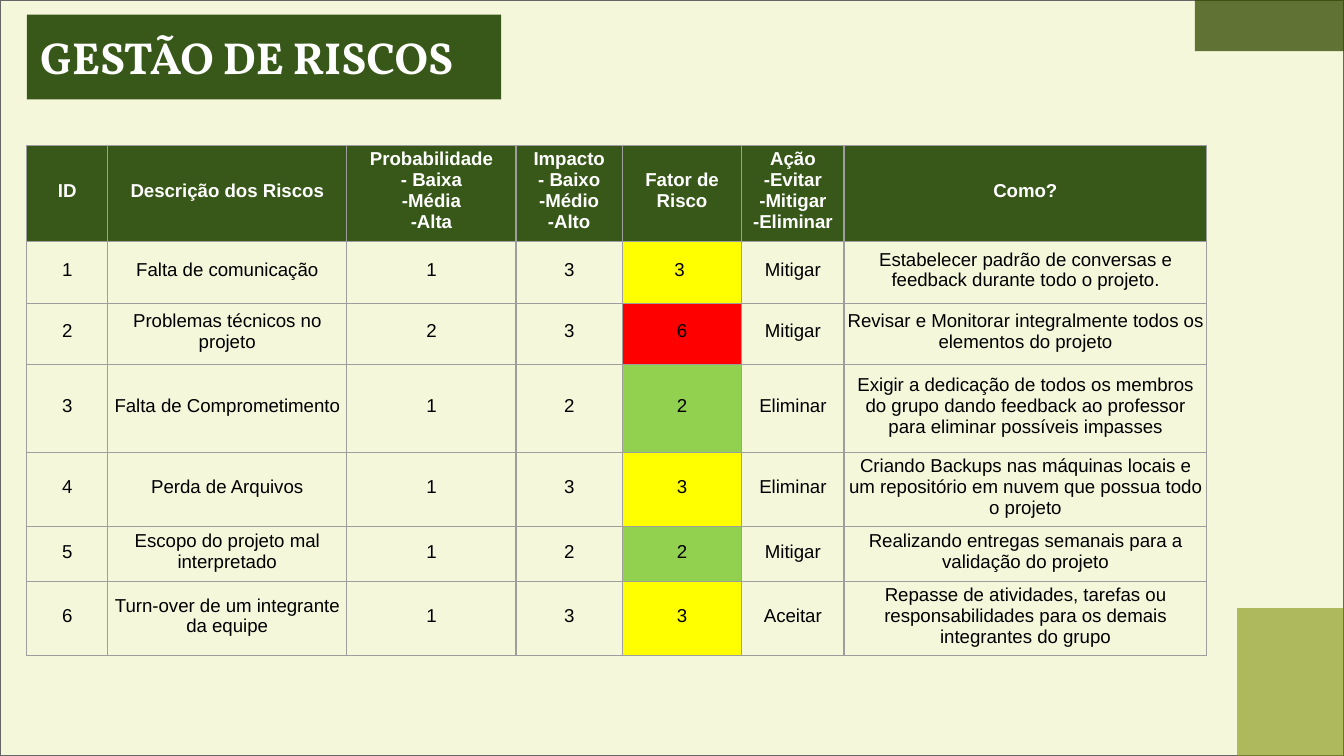
from copy import deepcopy

from pptx import Presentation
from pptx.dml.color import RGBColor as RGB
from pptx.enum.shapes import MSO_SHAPE as Shape
from pptx.enum.text import MSO_ANCHOR as Anchor, PP_ALIGN as Align
from pptx.oxml import parse_xml
from pptx.oxml.ns import nsdecls, qn
from pptx.util import Inches, Pt

HEX = {
    "cream": "F4F7DA", "frame": "666666", "olive": "324A00", "lime": "7C8C03",
    "green": "385819", "grid": "9E9E9E", "white": "FFFFFF", "black": "000000",
    "low": "92D050", "mid": "FFFF00", "high": "FF0000",
}
WIDTH = 10
HEIGHT = WIDTH * 9 / 16


def apply(item, values):
    for name, value in values.items():
        setattr(item, name, value)


def block(box, color, turn=0, alpha=None):
    shape = slide.shapes.add_shape(Shape.RECTANGLE, *map(Inches, box))
    shape.shadow.inherit = False
    shape.rotation = turn
    shape.fill.solid()
    shape.fill.fore_color.rgb = RGB.from_string(HEX[color])
    shape.line.fill.background()
    if alpha:
        tint = shape.fill._xPr.find(qn("a:solidFill"))[0]
        tint.append(parse_xml(f'<a:alpha {nsdecls("a")} val="{alpha * 1000}"/>'))
    return shape


deck = Presentation()
apply(deck, {"slide_width": Inches(WIDTH), "slide_height": Inches(HEIGHT)})
slide = deck.slides.add_slide(deck.slide_layouts[6])

back = block((0, 0, WIDTH, HEIGHT), "cream")
back.line.color.rgb = RGB.from_string(HEX["frame"])
back.line.width = Pt(0.75)
block((8.89, 0, 1.11, 0.38), "olive", 180, 76)
block((9.05, 4.68, 1.1, 0.79), "lime", 90, 58)

rows = [
    ("ID", "Descrição dos Riscos", "Probabilidade\n- Baixa\n-Média\n-Alta",
     "Impacto\n- Baixo\n-Médio\n-Alto", "Fator de Risco",
     "Ação\n-Evitar\n-Mitigar\n-Eliminar", "Como?"),
    ("1", "Falta de comunicação", "1", "3", "3 ", "Mitigar",
     "Estabelecer padrão de conversas e feedback durante todo o projeto."),
    ("2", "Problemas técnicos no projeto", "2", "3", "6", "Mitigar",
     "Revisar e Monitorar integralmente todos os elementos do projeto"),
    ("3", "Falta de Comprometimento", "1", "2", "2", "Eliminar",
     "Exigir a dedicação de todos os membros do grupo dando feedback "
     "ao professor para eliminar possíveis impasses"),
    ("4", "Perda de Arquivos", "1", "3", "3", "Eliminar",
     "Criando Backups nas máquinas locais e um repositório em nuvem "
     "que possua todo o projeto"),
    ("5", "Escopo do projeto mal interpretado", "1", "2", "2", "Mitigar",
     "Realizando entregas semanais para a validação do projeto"),
    ("6", "Turn-over de um integrante da equipe", "1", "3", "3", "Aceitar",
     "Repasse de atividades, tarefas ou responsabilidades para os demais "
     "integrantes do grupo"),
]
wide = [0.6, 1.78, 1.26, 0.79, 0.89, 0.76, 2.7]
tall = [0.72, 0.46, 0.45, 0.66, 0.55, 0.41, 0.55]
levels = {"2": "low", "3": "mid", "6": "high"}
inset = {
    "margin_left": Inches(0.01), "margin_right": Inches(0.01),
    "margin_top": Inches(0.01), "margin_bottom": Inches(0.05),
    "vertical_anchor": Anchor.MIDDLE,
}

frame = slide.shapes.add_table(
    len(rows), len(wide), Inches(0.2), Inches(1.08),
    Inches(sum(wide)), Inches(sum(tall)))
table = frame.table
apply(table, {"first_row": False, "horz_banding": False})
for col, size in zip(table.columns, wide):
    col.width = Inches(size)
for row, size in zip(table.rows, tall):
    row.height = Inches(size)

for r, row in enumerate(rows):
    head = r == 0
    for c, text in enumerate(row):
        cell = table.cell(r, c)
        apply(cell, inset)
        props = cell._tc.get_or_add_tcPr()
        for side in ("lnL", "lnR", "lnT", "lnB"):
            props.append(parse_xml(
                f'<a:{side} {nsdecls("a")} w="{Pt(0.75)}"><a:solidFill>'
                f'<a:srgbClr val="{HEX["grid"]}"/></a:solidFill></a:{side}>'))
        if head or c == 4:
            cell.fill.solid()
            tone = "green" if head else levels[text.strip()]
            cell.fill.fore_color.rgb = RGB.from_string(HEX[tone])
        else:
            cell.fill.background()
        para = cell.text_frame.paragraphs[0]
        apply(para, {"text": text, "alignment": Align.CENTER})
        for run in para.runs:
            apply(run.font, {"name": "Arial", "size": Pt(10), "bold": head})
            ink = "white" if head else "black"
            run.font.color.rgb = RGB.from_string(HEX[ink])
        for gap in para._p.findall(qn("a:br")):
            gap.append(deepcopy(para.runs[0].font._element))

block((0.2, 0.11, 3.53, 0.63), "green")
title = slide.shapes.add_textbox(*map(Inches, (0.2, 0.17, 4, 0.5)))
title.text_frame.word_wrap = True
run = title.text_frame.paragraphs[0].add_run()
run.text = "GESTÃO DE RISCOS"
apply(run.font, {"name": "Vollkorn", "size": Pt(24), "bold": True})
run.font.color.rgb = RGB.from_string(HEX["white"])

deck.save("out.pptx")
